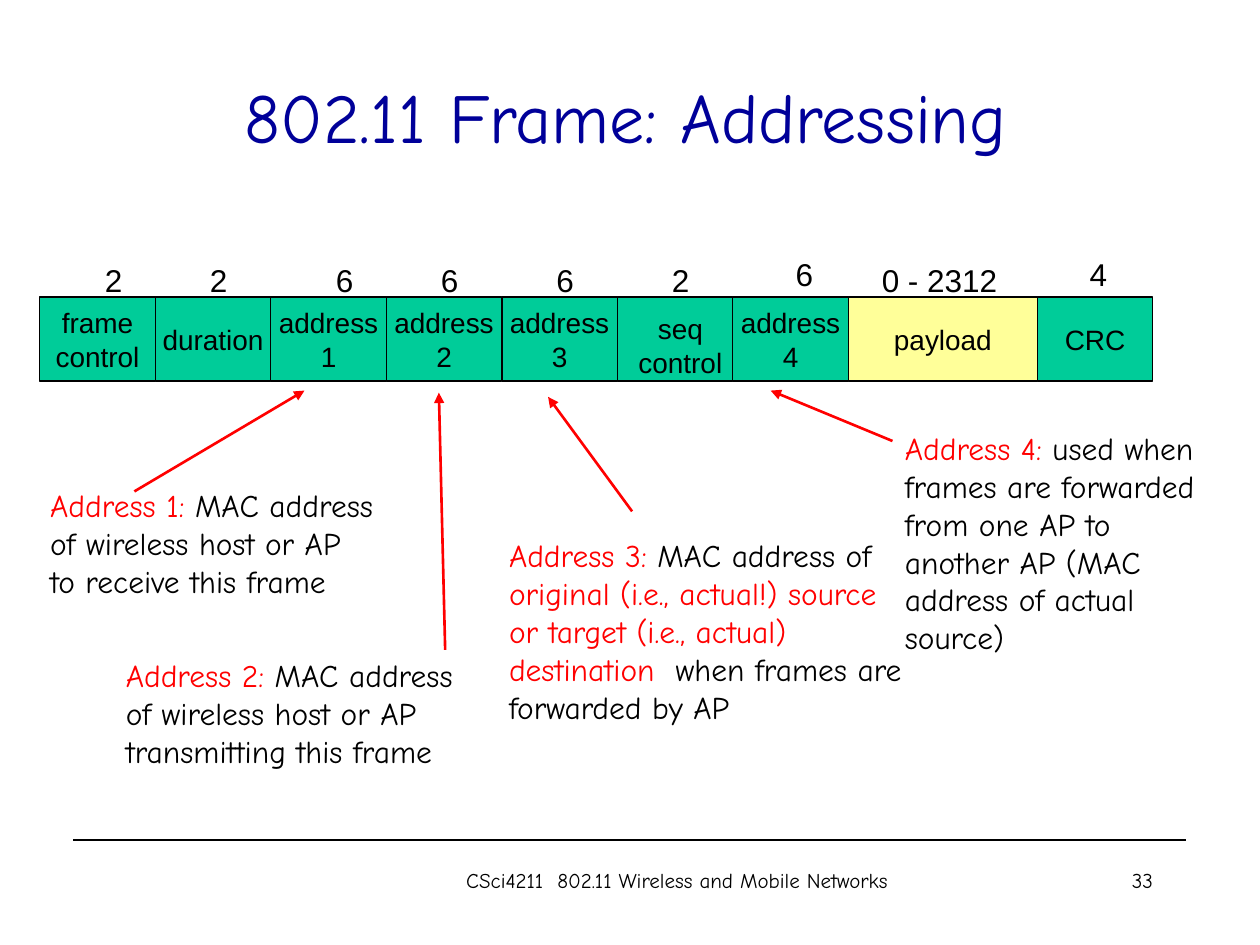
from dataclasses import dataclass
from pptx import Presentation
from pptx.dml.color import RGBColor as Rgb
from pptx.enum.shapes import MSO_CONNECTOR as Link, MSO_SHAPE as Kind
from pptx.enum.text import MSO_ANCHOR as Anchor, MSO_AUTO_SIZE as Auto, PP_ALIGN as Align
from pptx.oxml.ns import qn
from pptx.util import Inches, Pt
from lxml.etree import SubElement as Sub

WIDE, HIGH = Inches(10), Inches(7.5)
COLS, ROWS = 120, 90


@dataclass(frozen=True)
class Theme:
    ink: str = "000000"
    red: str = "FF0000"
    navy: str = "000099"
    green: str = "00CC99"
    cream: str = "FFFF99"
    sans: str = "Arial"
    hand: str = "Comic Neue"
    head: int = 40
    body: int = 18
    cell: int = 16
    foot: int = 12
    thin: float = 0.75
    bold: float = 1.5


T = Theme()

FIELDS = [
    (11, "frame\ncontrol", "2", 5, -4),
    (11, "duration", "2", 4, -4),
    (11, "address\n1", "6", 5, -4),
    (11, "address\n2", "6", 4, -4),
    (11, "address\n3", "6", 4, -4),
    (11, "seq\ncontrol", "2", 4, -4),
    (11, "address\n4", "6", 4.8, -4.6),
    (18, "payload", "0 - 2312", 2, -4),
    (11, "CRC", "4", 3.8, -4.6),
]

NOTES = [
    ((3.6, 45.7, 36.8, 12), (9.2, 1.1), (25.4, -8.5), False,
     [[("Address 1:", T.red), (" MAC address", T.ink)],
      [("of wireless host or AP", T.ink)],
      [("to receive this frame", T.ink)]]),
    ((10.8, 61.9, 37.3, 12), (31.6, 0), (31, -24.5), False,
     [[("Address 2:", T.red), (" MAC address", T.ink)],
      [("of wireless host or AP", T.ink)],
      [("transmitting this frame", T.ink)]]),
    ((47.3, 50.5, 40.1, 23), (12.9, -1.8), (4.9, -12.7), True,
     [[("Address 3: ", T.red), ("MAC address of ", T.ink),
       ("original (i.e., actual!) source or target (i.e., actual) destination ", T.red),
       (" when frames are forwarded by AP", T.ink)]]),
    ((85, 40.3, 31, 23), (0, 1.7), (-11.6, -3.1), True,
     [[("Address 4:", T.red),
       (" used when frames are forwarded from one AP to another AP "
        "(MAC address of actual source)", T.ink)]]),
]


def span(*vals):
    units = (WIDE / COLS, HIGH / ROWS)
    return [round(val * units[i % 2]) for i, val in enumerate(vals)]


def style(item, **vals):
    for key, val in vals.items():
        setattr(item, key, val)


def lines(text, color=T.ink):
    return [[(row, color)] for row in text.split("\n")]


def write(frame, rows, face, size, align=Align.LEFT, **form):
    style(frame, **form)
    for i, row in enumerate(rows):
        para = frame.add_paragraph() if i else frame.paragraphs[0]
        para.alignment = align
        for text, color in row:
            run = para.add_run()
            run.text = text
            style(run.font, name=face, size=Pt(size))
            run.font.color.rgb = Rgb.from_string(color)


def label(slide, box, rows, face, size, **form):
    form = {"word_wrap": True} | form
    frame = slide.shapes.add_textbox(*span(*box)).text_frame
    write(frame, rows, face, size, **form)


def stroke(line, color, width):
    line.color.rgb = Rgb.from_string(color)
    line.width = Pt(width)


def rule(slide, start, end, color, width, arrow=False):
    line = slide.shapes.add_connector(Link.STRAIGHT, *span(*start, *end))
    stroke(line.line, color, width)
    if arrow:
        Sub(line.line._get_or_add_ln(), qn("a:tailEnd"), type="triangle")
    Sub(line._element.spPr, qn("a:effectLst"))


def title(slide, box):
    label(slide, box, lines("802.11 Frame: Addressing", T.navy), T.hand, T.head,
          align=Align.CENTER, vertical_anchor=Anchor.MIDDLE)


def cell(slide, box, text):
    left, top, wide, high = box
    shape = slide.shapes.add_shape(Kind.RECTANGLE, *span(*box))
    shape.shadow.inherit = False
    shape.fill.solid()
    shape.fill.fore_color.rgb = Rgb.from_string(T.cream if text == "payload" else T.green)
    stroke(shape.line, T.ink, T.thin)
    form = {"align": Align.CENTER, "word_wrap": False}
    if text.startswith("seq"):
        label(slide, (left + 0.8, top + 0.8, wide - 0.6, high - 0.3), lines(text),
              T.sans, T.cell, auto_size=Auto.SHAPE_TO_FIT_TEXT, **form)
    else:
        write(shape.text_frame, lines(text), T.sans, T.cell,
              vertical_anchor=Anchor.MIDDLE, **form)


def packet(slide, box):
    left, top, wide, high = box
    unit = wide / sum(field[0] for field in FIELDS)
    for cols, name, count, shift, lift in FIELDS:
        cell(slide, (left, top, cols * unit, high), name)
        room = 13.4 if len(count) > 1 else 4
        label(slide, (left + shift, top + lift, room, 4.8), lines(count), T.sans, T.body,
              word_wrap=False, auto_size=Auto.SHAPE_TO_FIT_TEXT)
        left += cols * unit


def note(slide, box, start, end, wrap, rows):
    left, top = box[:2]
    label(slide, box, rows, T.hand, T.body, word_wrap=wrap,
          auto_size=Auto.SHAPE_TO_FIT_TEXT)
    ends = [(left + x, top + y) for x, y in (start, end)]
    rule(slide, *ends, T.red, T.bold, arrow=True)


def footer(slide, box):
    left, top, wide, high = box
    rule(slide, (left, top), (left + wide, top), T.ink, T.thin)
    label(slide, (left + 33, top + 2, 49, high - 2),
          lines("CSci4211  802.11 Wireless and Mobile Networks"),
          T.hand, T.foot, align=Align.CENTER)
    label(slide, (left + 79, top + 2, 25, high - 2), lines("33"),
          T.hand, T.foot, align=Align.RIGHT)


def main():
    deck = Presentation()
    style(deck, slide_width=WIDE, slide_height=HIGH)
    slide = deck.slides.add_slide(deck.slide_layouts[6])
    title(slide, (8.6, 3.5, 102, 15))
    packet(slide, (3.8, 28.3, 106, 8))
    for item in NOTES:
        note(slide, *item)
    footer(slide, (7, 80, 106, 8))
    deck.save("out.pptx")


if __name__ == "__main__":
    main()
